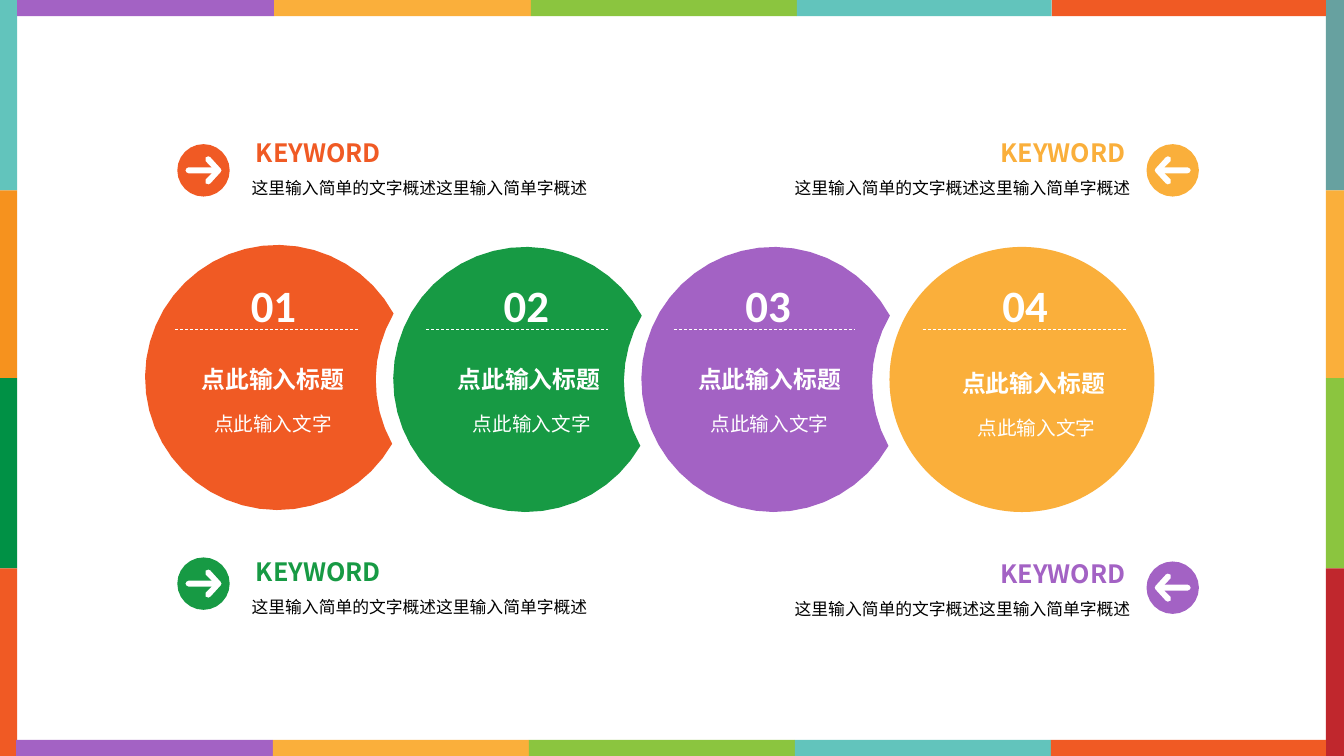
from dataclasses import dataclass
from itertools import pairwise
from math import acos, atan2, cos, hypot, pi, sin

from lxml.etree import SubElement
from pptx import Presentation
from pptx.dml.color import RGBColor
from pptx.enum.dml import MSO_LINE_DASH_STYLE as DASH
from pptx.enum.shapes import MSO_CONNECTOR, MSO_SHAPE
from pptx.enum.text import MSO_AUTO_SIZE as FIT, PP_ALIGN as ALIGN
from pptx.oxml.ns import qn
from pptx.shapes.autoshape import Shape
from pptx.util import Inches, Pt

Point = tuple[float, float]

# The grid is made of square cells; every length below counts columns or rows.
CELL = Inches(0.1)
COLUMNS, ROWS = 133.4, 75
COLORS = {
    "orange": "F05A24", "green": "179A44", "purple": "A362C4", "yellow": "FAAF3B",
    "teal": "62C4BC", "amber": "F6921E", "forest": "009145", "slate": "67A1A0",
    "lime": "8BC53F", "red": "C0272D", "white": "FFFFFF", "black": "000000",
}
CJK_FONT = "Noto Sans CJK SC"

CIRCLE_RADIUS = 13.15
CIRCLE_PITCH = 24.63
BITE_OFFSET = (22.9, 0.25)
RULE_ROW = 32.7
BADGE_RADIUS = 2.6
ARROW = [
    (0.5, -1.4), (0.2, -1.3), (0.2, -0.9), (0.8, -0.3), (-1.5, -0.3), (-1.7, -0.2),
    (-1.8, 0), (-1.7, 0.2), (-1.5, 0.3), (0.8, 0.3), (0.2, 0.9), (0.2, 1.3),
    (0.5, 1.4), (0.7, 1.3), (1.7, 0.2), (1.8, 0), (1.7, -0.2), (0.7, -1.3),
]


@dataclass
class FrameEdge:
    start: float
    thickness: float
    breaks: list[float]
    colors: list[str]
    vertical: bool


@dataclass
class Step:
    color: str
    circle_top: float
    number_left: float
    rule_left: float
    rule_right: float
    title_left: float
    caption_left: float
    title_top: float = 34.3


@dataclass
class Keyword:
    color: str
    badge_row: float
    heading_top: float
    on_left: bool


SIDE_BREAKS = [0, 18.9, 37.5, 56.4, ROWS]
BAND_COLORS = ["purple", "yellow", "lime", "teal", "orange"]
FRAME = [
    FrameEdge(0, 1.7, SIDE_BREAKS, ["teal", "amber", "forest", "orange"], True),
    FrameEdge(131.6, 1.8, SIDE_BREAKS, ["slate", "yellow", "lime", "red"], True),
    FrameEdge(0, 1.6, [1.7, 27.2, 52.7, 79.1, 104.4, 131.6], BAND_COLORS, False),
    FrameEdge(73.4, 1.6, [1.6, 27.1, 52.5, 78.9, 104.3, 131.6], BAND_COLORS, False),
]
STEPS = [
    Step("orange", 24.3, 23.9, 17.4, 35.5, 14.8, 14.8),
    Step("green", 24.5, 49, 42.3, 60.3, 40.2, 40.5),
    Step("purple", 24.5, 73, 66.9, 84.9, 64.1, 64.1),
    Step("yellow", 24.5, 98.5, 91.6, 111.8, 90.3, 90.6, 34.7),
]
KEYWORDS = [
    Keyword("orange", 16.9, 13.1, True),
    Keyword("green", 57.9, 54.7, True),
    Keyword("yellow", 16.9, 13.1, False),
    Keyword("purple", 58.3, 54.9, False),
]

deck = Presentation()
deck.slide_width, deck.slide_height = int(COLUMNS * CELL), int(ROWS * CELL)
slide = deck.slides.add_slide(deck.slide_layouts[6])


def cells(*counts: float) -> list[int]:
    """Turn grid counts into slide units."""
    return [round(count * CELL) for count in counts]


def rgb(color: str) -> RGBColor:
    return RGBColor.from_string(COLORS[color])


def paint(shape: Shape, color: str) -> None:
    shape.shadow.inherit = False
    shape.fill.solid()
    shape.fill.fore_color.rgb = rgb(color)
    shape.line.fill.background()


def add_preset(kind: MSO_SHAPE, left: float, top: float, width: float, height: float,
               color: str) -> None:
    paint(slide.shapes.add_shape(kind, *cells(left, top, width, height)), color)


def add_outline(contours: list[list[Point]], color: str) -> None:
    """Fill closed contours; an inner contour becomes a hole."""
    first, *holes = [[cells(*point) for point in contour] for contour in contours]
    builder = slide.shapes.build_freeform(*first[0])
    builder.add_line_segments(first[1:])
    for hole in holes:
        builder.move_to(*hole[0])
        builder.add_line_segments(hole[1:])
    paint(builder.convert_to_shape(), color)


def arc(center: Point, radius: float, start: float, end: float, count: int) -> list[Point]:
    """Follow an arc in the given count of straight steps."""
    angles = [start + (end - start) * i / count for i in range(count + 1)]
    return [(center[0] + radius * cos(a), center[1] + radius * sin(a)) for a in angles]


def add_text(text: str, left: float, top: float, width: float, height: float, size: float,
             color: str, align: ALIGN, *, bold: bool = False, wrap: bool = True,
             spacing: float = 1.5, font: str = CJK_FONT) -> None:
    box = slide.shapes.add_textbox(*cells(left, top, width, height))
    box.text_frame.word_wrap = wrap
    box.text_frame.auto_size = FIT.SHAPE_TO_FIT_TEXT
    paragraph = box.text_frame.paragraphs[0]
    paragraph.text = text
    paragraph.alignment = align
    paragraph.line_spacing = spacing
    paragraph.font.name = font
    paragraph.font.size = Pt(size)
    paragraph.font.bold = bold
    paragraph.font.color.rgb = rgb(color)
    for latin in list(box.element.iter(qn("a:latin"))):
        east_asian = SubElement(latin.getparent(), qn("a:ea"), typeface=font)
        latin.addnext(east_asian)


def add_frame_edge(edge: FrameEdge) -> None:
    for (start, end), color in zip(pairwise(edge.breaks), edge.colors):
        if edge.vertical:
            place = (edge.start, start, edge.thickness, end - start)
        else:
            place = (start, edge.start, end - start, edge.thickness)
        add_preset(MSO_SHAPE.RECTANGLE, *place, color)


def add_crescent(left: float, top: float, color: str) -> None:
    """Draw a circle with a bite of the same radius taken from its right side."""
    center = (left + CIRCLE_RADIUS, top + CIRCLE_RADIUS)
    bite = (center[0] + BITE_OFFSET[0], center[1] + BITE_OFFSET[1])
    tilt = atan2(BITE_OFFSET[1], BITE_OFFSET[0])
    half = acos(hypot(*BITE_OFFSET) / 2 / CIRCLE_RADIUS)
    outer = arc(center, CIRCLE_RADIUS, tilt + half, tilt + 2 * pi - half, 40)
    inner = arc(bite, CIRCLE_RADIUS, tilt + pi + half, tilt + pi - half, 8)
    add_outline([outer + inner], color)


def add_rule(left: float, right: float) -> None:
    rule = slide.shapes.add_connector(
        MSO_CONNECTOR.STRAIGHT, *cells(left, RULE_ROW, right, RULE_ROW))
    rule.line.color.rgb = rgb("white")
    rule.line.width = Pt(0.5)
    rule.line.dash_style = DASH.DASH
    SubElement(rule.element.spPr, qn("a:effectLst"))


def add_step(index: int, step: Step) -> None:
    left = 14.4 + index * CIRCLE_PITCH
    if index < len(STEPS) - 1:
        add_crescent(left, step.circle_top, step.color)
    else:
        diameter = 2 * CIRCLE_RADIUS
        add_preset(MSO_SHAPE.OVAL, left, step.circle_top, diameter, diameter, step.color)
    add_text(f"{index + 1:02}", step.number_left, 24.4, 6.5, 9, 32, "white", ALIGN.CENTER,
             bold=True, wrap=False, font="Calibri")
    add_rule(step.rule_left, step.rule_right)
    add_text("点此输入标题", step.title_left, step.title_top, 24.6, 5.3, 17, "white",
             ALIGN.CENTER, bold=True)
    add_text("点此输入文字", step.caption_left, step.title_top + 4.9, 24.6, 4.5, 14, "white",
             ALIGN.CENTER)


def add_keyword(keyword: Keyword) -> None:
    if keyword.on_left:
        badge_column, heading_left, summary_left, direction = 20.2, 24.4, 24, 1
        summary_width, align = 36, ALIGN.LEFT
    else:
        badge_column, heading_left, summary_left, direction = 116.4, 98.2, 77.8, -1
        summary_width, align = 35.4, ALIGN.RIGHT
    center = (badge_column, keyword.badge_row)
    arrow = [(center[0] + direction * x, center[1] + y) for x, y in ARROW]
    add_outline([arc(center, BADGE_RADIUS, 0, 2 * pi, 24), arrow], keyword.color)
    add_text("KEYWORD", heading_left, keyword.heading_top, 14.5, 4, 18, keyword.color, align,
             bold=True, wrap=False, spacing=1.0)
    add_text("这里输入简单的文字概述这里输入简单字概述", summary_left, keyword.heading_top + 3,
             summary_width, 4, 12, "black", align)


for edge in FRAME:
    add_frame_edge(edge)
for index, step in enumerate(STEPS):
    add_step(index, step)
for keyword in KEYWORDS:
    add_keyword(keyword)
deck.save("out.pptx")
